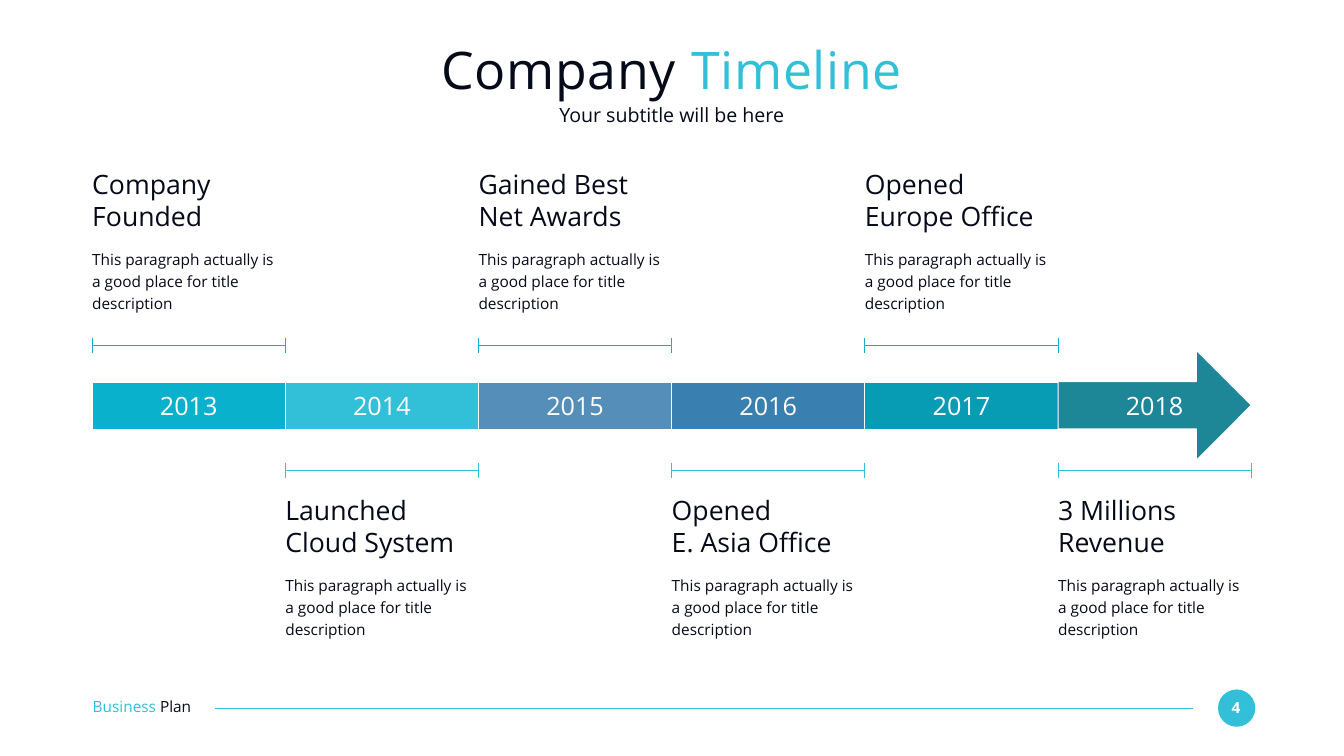
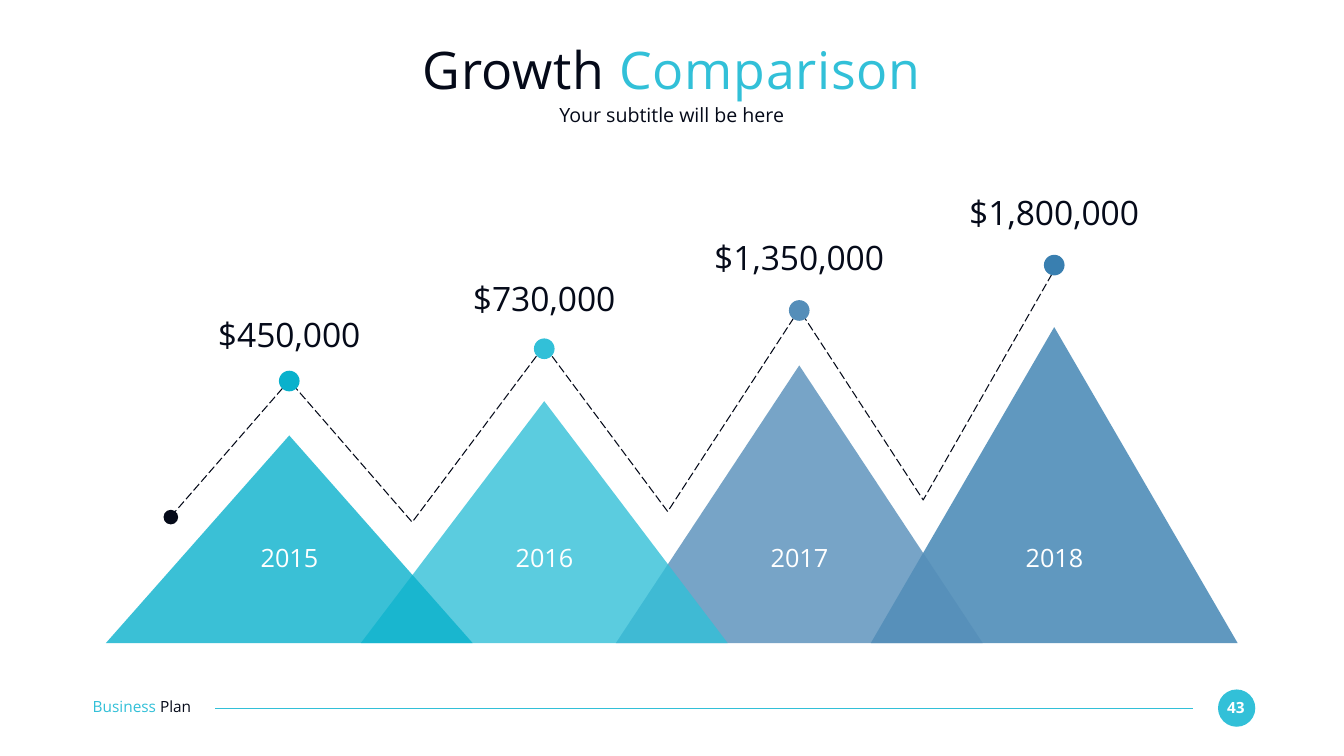
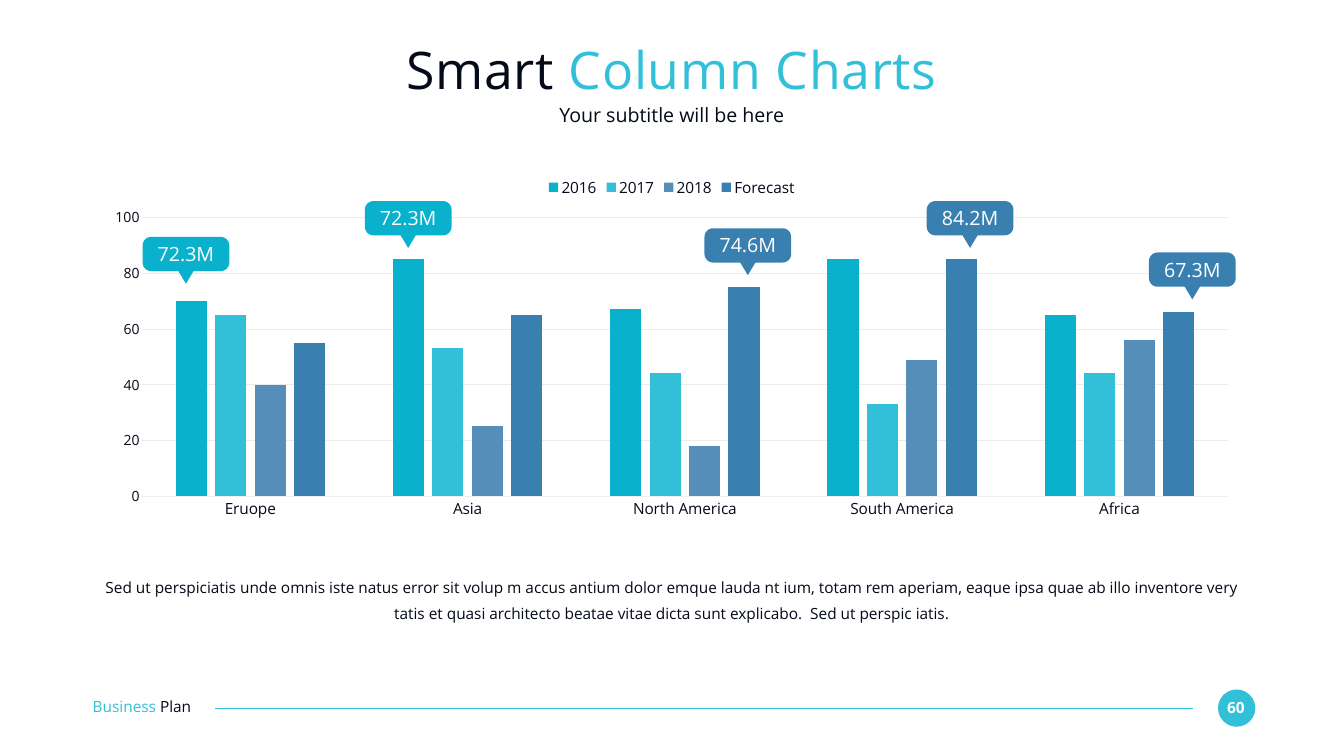
"""Build three business plan slides: timeline, growth comparison and column chart."""
from math import cos, radians, sin

from lxml import etree
from pptx import Presentation
from pptx.chart.data import CategoryChartData
from pptx.dml.color import RGBColor
from pptx.enum.chart import XL_CHART_TYPE, XL_LEGEND_POSITION, XL_TICK_MARK
from pptx.enum.dml import MSO_LINE
from pptx.enum.shapes import MSO_CONNECTOR, MSO_SHAPE
from pptx.enum.text import MSO_ANCHOR, PP_ALIGN
from pptx.oxml.ns import qn
from pptx.util import Inches, Pt

STRAIGHT = MSO_CONNECTOR.STRAIGHT
RECTANGLE, ARROW = MSO_SHAPE.RECTANGLE, MSO_SHAPE.RIGHT_ARROW
OVAL, TRIANGLE = MSO_SHAPE.OVAL, MSO_SHAPE.ISOSCELES_TRIANGLE
LONG_DASH = MSO_LINE.LONG_DASH
LEFT, CENTER = PP_ALIGN.LEFT, PP_ALIGN.CENTER
TOP, MIDDLE = MSO_ANCHOR.TOP, MSO_ANCHOR.MIDDLE
CLUSTERED = XL_CHART_TYPE.COLUMN_CLUSTERED
LEGEND_TOP, NO_TICK = XL_LEGEND_POSITION.TOP, XL_TICK_MARK.NONE

FONT = "Open Sans"
COLORS = {
    "ink": "050A19", "white": "FFFFFF", "cyan": "09B1CC", "sky": "32C0D8",
    "steel": "558EB9", "blue": "397FB0", "teal": "089BB4", "deep": "1D8697",
    "axis": "F0F0F0", "grid": "EBEBEB",
}
MARGIN, CONTENT_W = 1.83, 23
SERIES_COLORS = ["cyan", "sky", "steel", "blue"]

DESCRIPTION = "This paragraph actually is a good place for title description"
EVENTS = [
    ("2013", "Company Founded", "cyan"),
    ("2014", "Launched Cloud System", "sky"),
    ("2015", "Gained Best\nNet Awards", "steel"),
    ("2016", "Opened\nE. Asia Office", "blue"),
    ("2017", "Opened\nEurope Office", "teal"),
    ("2018", "3 Millions\nRevenue", "deep"),
]
GROWTH = [
    ("2015", "$450,000", 8.64, 7.56, 6.23),
    ("2016", "$730,000", 7.96, 6.92, 5.51),
    ("2017", "$1,350,000", 7.25, 6.16, 4.7),
    ("2018", "$1,800,000", 6.49, 5.26, 3.81),
]
GROWTH_LINE = [
    (3.39, 10.25), (5.74, 7.55), (8.18, 10.36), (10.8, 6.86),
    (13.25, 10.15), (15.86, 6.14), (18.32, 9.92), (20.93, 5.34),
]
REGIONS = ["Eruope", "Asia", "North America", "South America", "Africa"]
SALES = {
    "2016": (70, 85, 67, 85, 65),
    "2017": (65, 53, 44, 33, 44),
    "2018": (40, 25, 18, 49, 56),
    "Forecast": (55, 65, 75, 85, 66),
}
CALLOUTS = [
    (2.83, 4.7, "72.3M", "cyan"),
    (7.24, 3.99, "72.3M", "cyan"),
    (13.98, 4.53, "74.6M", "blue"),
    (18.39, 3.99, "84.2M", "blue"),
    (22.8, 5.01, "67.3M", "blue"),
]
CHART_NOTE = (
    "Sed ut perspiciatis unde omnis iste natus error sit volup m accus antium dolor "
    "emque lauda nt ium, totam rem aperiam, eaque ipsa quae ab illo inventore very "
    "tatis et quasi architecto beatae vitae dicta sunt explicabo.  Sed ut perspic iatis."
)


def rgb(name):
    """Return the named colour."""
    return RGBColor.from_string(COLORS[name])


def style_font(font, size, color="ink", bold=False):
    """Set typeface, size, colour and weight."""
    font.name, font.size, font.bold = FONT, Pt(size), bold
    font.color.rgb = rgb(color)


def add_text(s, x, y, w, h, paragraphs, size, align=LEFT, anchor=TOP,
             bold=False, line_spacing=None, tracking=None):
    """Add a text box from paragraphs, each a list of (text, colour) runs."""
    tf = s.shapes.add_textbox(Inches(x), Inches(y), Inches(w), Inches(h)).text_frame
    tf.word_wrap, tf.vertical_anchor = True, anchor
    tf.margin_left = tf.margin_right = tf.margin_top = tf.margin_bottom = 0
    for i, runs in enumerate(paragraphs):
        p = tf.add_paragraph() if i else tf.paragraphs[0]
        p.alignment = align
        if line_spacing:
            p.line_spacing = line_spacing
        for text, color in runs:
            r = p.add_run()
            r.text = text
            style_font(r.font, size, color, bold)
            if tracking:
                r._r.get_or_add_rPr().set("spc", str(tracking))


def paint(sp, fill, line=None):
    """Fill a shape and outline it in 1.5 pt or not at all."""
    sp.shadow.inherit = False
    sp.fill.solid()
    sp.fill.fore_color.rgb = rgb(fill)
    if line:
        sp.line.color.rgb, sp.line.width = rgb(line), Pt(1.5)
    else:
        sp.line.fill.background()


def add_block(s, kind, x, y, w, h, fill, line=None):
    """Add a painted preset shape."""
    sp = s.shapes.add_shape(kind, Inches(x), Inches(y), Inches(w), Inches(h))
    paint(sp, fill, line)
    return sp


def add_dot(s, cx, cy, size, fill):
    """Add a circle around a centre point."""
    add_block(s, OVAL, cx - size / 2, cy - size / 2, size, size, fill)


def add_line(shapes, x1, y1, x2, y2, color):
    """Add a straight line without shadow."""
    line = shapes.add_connector(STRAIGHT, Inches(x1), Inches(y1), Inches(x2), Inches(y2))
    line.line.color.rgb, line.line.width = rgb(color), Pt(1.5)
    etree.SubElement(line._element.spPr, qn("a:effectLst"))


def add_outline(s, points, closed):
    """Add a freeform through points given in inches."""
    start, *rest = [(Inches(x), Inches(y)) for x, y in points]
    builder = s.shapes.build_freeform(*start)
    builder.add_line_segments(rest, close=closed)
    sp = builder.convert_to_shape()
    sp.shadow.inherit = False
    return sp


def add_base(prs, lead, accent, number):
    """Add a slide with its footer, two-colour title and subtitle."""
    s = prs.slides.add_slide(prs.slide_layouts[6])
    add_dot(s, 24.54, 14.05, 0.74, "sky")
    add_text(s, 24.23, 13.85, 0.59, 0.37, [[(number, "white")]], 22, CENTER, bold=True)
    add_line(s.shapes, 23.67, 14.05, 4.27, 14.05, "sky")
    add_text(s, 1.84, 13.84, 2.59, 0.37, [[("Business ", "sky"), ("Plan", "ink")]], 22)
    add_text(s, MARGIN, 0.73, CONTENT_W, 1.27, [[(lead + " ", "ink"), (accent, "sky")]],
             74, CENTER, MIDDLE, tracking=100)
    add_text(s, MARGIN, 2.03, CONTENT_W, 0.49, [[("Your subtitle will be here", "ink")]],
             28, CENTER, MIDDLE)
    return s


def add_bracket(s, x, y, w, color):
    """Add a grouped horizontal span with end ticks."""
    shapes = s.shapes.add_group_shape().shapes
    add_line(shapes, x, y, x + w, y, color)
    for end in (x, x + w):
        add_line(shapes, end, y - 0.15, end, y + 0.14, color)


def add_event(s, x, w, heading, above):
    """Add the bracket, heading and description of one event."""
    heading_y, bracket_y, color = (3.34, 6.86, "cyan") if above else (9.8, 9.34, "sky")
    add_bracket(s, x, bracket_y, w, color)
    add_text(s, x, heading_y, w, 1.28, [[(text, "ink")] for text in heading.split("\n")], 38)
    add_text(s, x, heading_y + 1.55, w, 1.33, [[(DESCRIPTION, "ink")]], 22, line_spacing=1.2)


def add_timeline(prs):
    """Add the company timeline slide."""
    s = add_base(prs, "Company", "Timeline", "4")
    step = CONTENT_W / len(EVENTS)
    for i, (year, heading, color) in enumerate(EVENTS):
        x = MARGIN + i * step
        if i < len(EVENTS) - 1:
            add_block(s, RECTANGLE, x, 7.58, step, 0.94, color, "white")
        else:
            arrow = add_block(s, ARROW, x, 6.95, step, 2.18, color, "white")
            arrow.adjustments[0], arrow.adjustments[1] = 0.43, 0.5
        add_text(s, x + 1.02, 7.74, 1.79, 0.61, [[(year, "white")]], 36, CENTER)
        add_event(s, x, step, heading, above=i % 2 == 0)


def add_peak(s, cx, top, color):
    """Add a translucent triangle standing on the base line."""
    sp = add_block(s, TRIANGLE, cx - 3.64, top, 7.28, 12.76 - top, color)
    clr = sp._element.spPr.find(qn("a:solidFill")).find(qn("a:srgbClr"))
    etree.SubElement(clr, qn("a:alpha")).set("val", "80000")


def add_growth(prs):
    """Add the growth comparison slide."""
    s = add_base(prs, "Growth", "Comparison", "43")
    peaks = [(5.74 + i * 5.06, color, *row)
             for i, (row, color) in enumerate(zip(GROWTH, SERIES_COLORS))]
    for cx, color, _, _, top, _, _ in reversed(peaks):
        add_peak(s, cx, top, color)
    trend = add_outline(s, GROWTH_LINE, closed=False)
    trend.fill.background()
    trend.line.color.rgb, trend.line.width = rgb("ink"), Pt(1.5)
    trend.line.dash_style = LONG_DASH
    add_dot(s, 3.39, 10.26, 0.29, "ink")
    for cx, color, year, value, _, dot_y, value_y in peaks:
        add_text(s, cx - 1.2, 10.76, 2.41, 0.61, [[(year, "white")]], 36, CENTER)
        add_text(s, cx - 1.84, value_y, 3.68, 0.81, [[(value, "ink")]], 48, CENTER)
        add_dot(s, cx, dot_y, 0.41, color)


def add_callout(s, x, y, text, color):
    """Add a rounded label with a pointer below its centre."""
    w, h, radius = 1.72, 0.68, 0.17
    corners = [(w - radius, radius, -90), (w - radius, h - radius, 0),
               (radius, h - radius, 90), (radius, radius, 180)]
    arcs = [[(x + cx + radius * cos(radians(start + turn)),
              y + cy + radius * sin(radians(start + turn))) for turn in range(0, 91, 15)]
            for cx, cy, start in corners]
    mid = x + w / 2
    pointer = [(mid + 0.15, y + h), (mid, y + 0.93), (mid - 0.15, y + h)]
    points = arcs[0] + arcs[1] + pointer + arcs[2] + arcs[3]
    paint(add_outline(s, points, closed=True), color)
    add_text(s, x + 0.14, y + 0.1, 1.44, 0.47, [[(text, "white")]], 28, CENTER)


def add_sales_chart(s):
    """Add the clustered column chart of sales by region."""
    data = CategoryChartData()
    data.categories = REGIONS
    for name, values in SALES.items():
        data.add_series(name, values)
    chart = s.shapes.add_chart(CLUSTERED, Inches(MARGIN), Inches(3.38),
                               Inches(CONTENT_W), Inches(7.05), data).chart
    style_font(chart.font, 22)
    chart.has_title = False
    chart.has_legend = True
    chart.legend.position, chart.legend.include_in_layout = LEGEND_TOP, False
    style_font(chart.legend.font, 22)
    plot = chart.plots[0]
    plot.gap_width, plot.overlap, plot.vary_by_categories = 219, -27, False
    for series, color in zip(plot.series, SERIES_COLORS):
        series.format.fill.solid()
        series.format.fill.fore_color.rgb = rgb(color)
    for axis, size in ((chart.category_axis, 22), (chart.value_axis, 20)):
        axis.major_tick_mark = axis.minor_tick_mark = NO_TICK
        style_font(axis.tick_labels.font, size)
    base = chart.category_axis.format.line
    base.color.rgb, base.width = rgb("axis"), Pt(0.75)
    scale = chart.value_axis
    scale.minimum_scale, scale.maximum_scale, scale.major_unit = 0, 100, 20
    scale.format.line.fill.background()
    grid = scale.major_gridlines.format.line
    grid.color.rgb, grid.width = rgb("grid"), Pt(1)


def add_columns(prs):
    """Add the column chart slide."""
    s = add_base(prs, "Smart", "Column Charts", "60")
    add_sales_chart(s)
    add_text(s, MARGIN, 11.33, CONTENT_W, 0.99, [[(CHART_NOTE, "ink")]], 22, CENTER,
             line_spacing=1.4)
    for callout in CALLOUTS:
        add_callout(s, *callout)


def main():
    """Build and save the presentation."""
    prs = Presentation()
    prs.slide_width, prs.slide_height = Inches(26.67), Inches(15)
    add_timeline(prs)
    add_growth(prs)
    add_columns(prs)
    prs.save("out.pptx")


if __name__ == "__main__":
    main()
